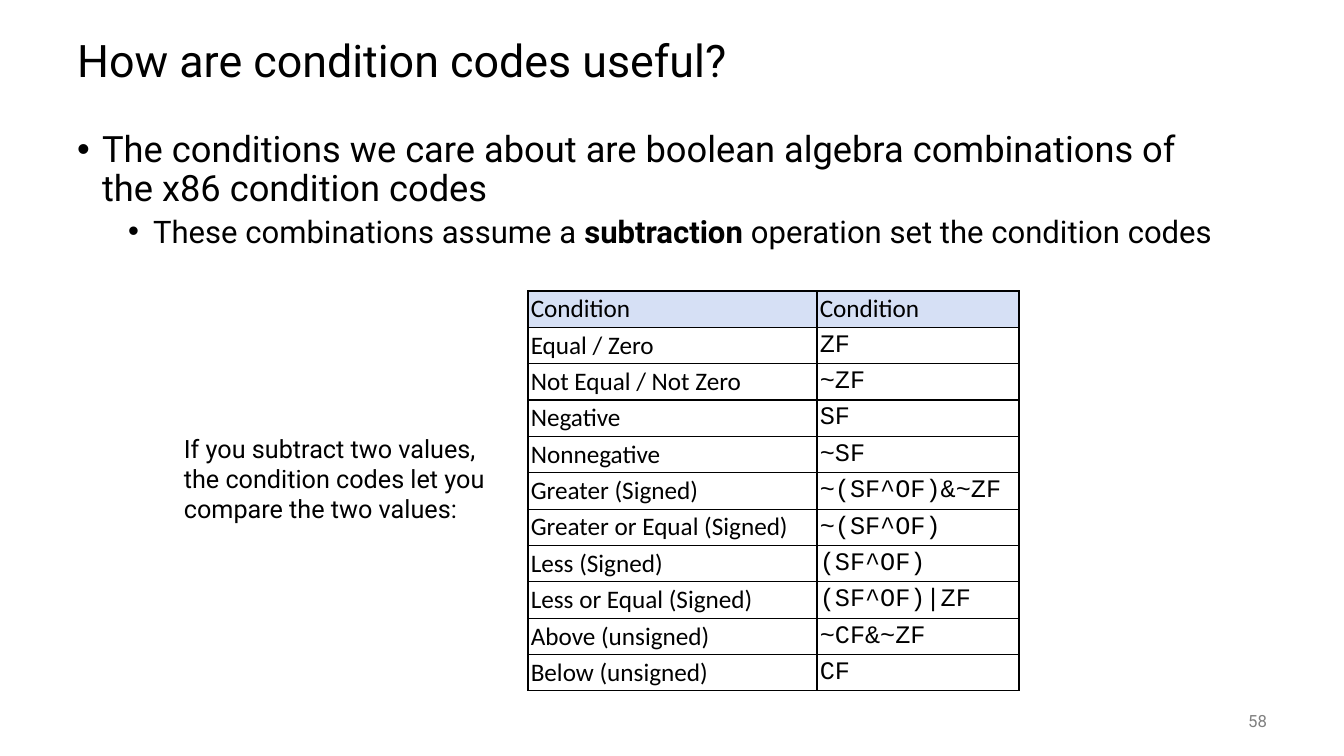
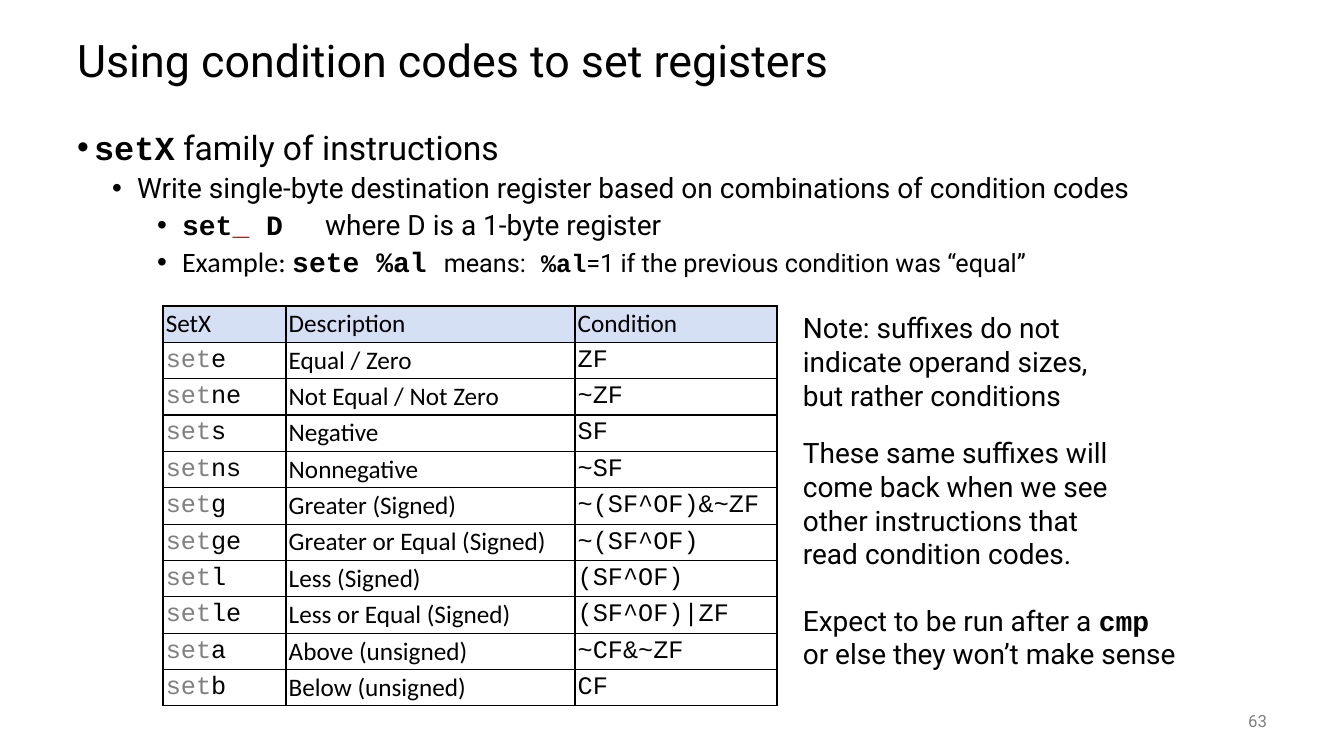
from lxml import etree
from pptx import Presentation
from pptx.dml.color import RGBColor
from pptx.enum.text import MSO_ANCHOR, MSO_AUTO_SIZE, PP_ALIGN
from pptx.oxml.ns import qn
from pptx.util import Emu, Pt

LEFT, RIGHT = PP_ALIGN.LEFT, PP_ALIGN.RIGHT
TOP, MIDDLE = MSO_ANCHOR.TOP, MSO_ANCHOR.MIDDLE
NO_FIT = MSO_AUTO_SIZE.NONE

BLACK = RGBColor(0x00, 0x00, 0x00)
GRAY = RGBColor(0x80, 0x80, 0x80)
RED = RGBColor(0xFF, 0x00, 0x00)
HEADER_FILL = RGBColor(0xD6, 0xE0, 0xF5)

PX = 914400 / 100.8
SLIDE_W, SLIDE_H = 1344, 756
TITLE_BOX = (67, 25, 1210, 76)
NUMBER_BOX = (1176, 701, 101, 40)
ROW_H = 36
SUFFIX_W, MEANING_W, FLAGS_W = 123, 289, 202

PLAIN = {"name": "Roboto", "bold": False, "color": BLACK}
CODE = {"name": "Courier New", "bold": True, "color": BLACK}
CELL = {"name": "Calibri", "size": 18, "bold": False, "color": BLACK}
CELL_CODE = CELL | {"name": "Courier New"}
CELL_PREFIX = CELL_CODE | {"color": GRAY}
TITLE = PLAIN | {"size": 32}
NUMBER = PLAIN | {"size": 12, "color": GRAY}
P18, P20, P24 = (PLAIN | {"size": n} for n in (18, 20, 24))
C18, C20, C24 = (CODE | {"size": n} for n in (18, 20, 24))

CONDITIONS = [
    ("e", "Equal / Zero", "ZF"),
    ("ne", "Not Equal / Not Zero", "~ZF"),
    ("s", "Negative", "SF"),
    ("ns", "Nonnegative", "~SF"),
    ("g", "Greater (Signed)", "~(SF^OF)&~ZF"),
    ("ge", "Greater or Equal (Signed)", "~(SF^OF)"),
    ("l", "Less (Signed)", "(SF^OF)"),
    ("le", "Less or Equal (Signed)", "(SF^OF)|ZF"),
    ("a", "Above (unsigned)", "~CF&~ZF"),
    ("b", "Below (unsigned)", "CF"),
]


def cells_for(suffix, meaning, flags):
    return [[("set", CELL_PREFIX), (suffix, CELL_CODE)],
            [(meaning, CELL)], [(flags, CELL_CODE)]]


def header(*labels):
    return [[(label, CELL)] for label in labels]


SET_ROWS = [cells_for(*c) for c in CONDITIONS]
P26 = PLAIN | {"size": 25.9}
P22 = PLAIN | {"size": 22.2}

SLIDES = [
    {
        "title": "How are condition codes useful?",
        "number": "58",
        "body_box": (67, 126, 1168, 131),
        "bullets": [
            {"level": 0, "indent": 25, "runs": [
                ("The conditions we care about are boolean algebra combinations of "
                 "the x86 condition codes", P26)]},
            {"level": 1, "indent": 76, "before": 5, "runs": [
                ("These combinations assume a ", P22),
                ("subtraction", P22 | {"bold": True}),
                (" operation set the condition codes", P22)]},
        ],
        "table_at": (528, 291),
        "widths": [MEANING_W, FLAGS_W],
        "rows": [header("Condition", "Condition")] + [row[1:] for row in SET_ROWS],
        "notes": [
            ((174, 428, 332, 102), [
                {"runs": [("If you subtract two values, the condition codes let you\n"
                           "compare the two values:", P18)]}]),
        ],
    },
    {
        "title": "Using condition codes to set registers",
        "number": "63",
        "body_box": (67, 126, 1210, 554),
        "bullets": [
            {"level": 0, "indent": 17, "runs": [
                ("setX", C24), (" family of instructions", P24)]},
            {"level": 1, "indent": 60, "before": 5, "runs": [
                ("Write single-byte destination register based on combinations "
                 "of condition codes", P20)]},
            {"level": 2, "indent": 105, "before": 5, "tab": 248, "runs": [
                ("set", C20), ("_", C20 | {"color": RED}), (" D", C20),
                ("\twhere D is a 1-byte register", P20)]},
            {"level": 2, "indent": 105, "before": 5, "runs": [
                ("Example: ", P20 | {"name": "Calibri"}), ("sete %al ", C20),
                ("means:", P18), (" %al", C18),
                ("=1 if the previous condition was “equal”", P18)]},
        ],
        "table_at": (163, 306),
        "widths": [SUFFIX_W, MEANING_W, FLAGS_W],
        "rows": [header("SetX", "Description", "Condition")] + SET_ROWS,
        "notes": [
            ((793, 306, 316, 112), [
                {"runs": [("Note: suffixes do not indicate operand sizes, "
                           "but rather conditions", P20)]}]),
            ((793, 431, 399, 248), [
                {"runs": [("These same suffixes will\ncome back when we see\n"
                           "other instructions that\nread condition codes.", P20)]},
                {"before": 23.4, "runs": [("Expect to be run after a ", P20),
                                          ("cmp", C20)]},
                {"runs": [("or else they won’t make sense", P20)]}]),
        ],
    },
]


def px(n):
    return Emu(round(n * PX))


def place(sp, box):
    for name, n in zip(("left", "top", "width", "height"), box):
        setattr(sp, name, px(n))


def add_runs(p, runs):
    for text, style in runs:
        for i, line in enumerate(text.split("\n")):
            if i:
                p.add_line_break()
            r = p.add_run()
            r.text = line
            for name, value in style.items():
                if name == "color":
                    r.font.color.rgb = value
                else:
                    setattr(r.font, name, Pt(value) if name == "size" else value)


def add_bullet(p, item):
    pPr = p._p.get_or_add_pPr()
    pPr.set("marL", str(px(item["indent"])))
    pPr.set("indent", str(px(-25)))
    etree.SubElement(pPr, qn("a:buChar"), char="•")
    if "tab" in item:
        tabs = etree.SubElement(pPr, qn("a:tabLst"))
        etree.SubElement(tabs, qn("a:tab"), pos=str(px(item["tab"])), algn="l")


def write(tf, items, anchor=TOP, align=LEFT, spacing=1.0):
    frame = {"word_wrap": True, "auto_size": NO_FIT, "vertical_anchor": anchor}
    for name, value in frame.items():
        setattr(tf, name, value)
    for i, item in enumerate(items):
        p = tf.add_paragraph() if i else tf.paragraphs[0]
        if "indent" in item:
            add_bullet(p, item)
            p.level = item["level"]
        p.alignment = align
        p.line_spacing = spacing
        p.space_before = Pt(item.get("before", 0))
        add_runs(p, item["runs"])


def add_text(s, box, items, **kw):
    sp = s.shapes.add_textbox(*map(px, box))
    write(sp.text_frame, items, **kw)


def add_borders(cell):
    tcPr = cell._tc.get_or_add_tcPr()
    for i, side in enumerate(("a:lnL", "a:lnR", "a:lnT", "a:lnB")):
        ln = etree.Element(qn(side), w=str(Pt(1)))
        fill = etree.SubElement(ln, qn("a:solidFill"))
        etree.SubElement(fill, qn("a:srgbClr"), val=str(BLACK))
        tcPr.insert(i, ln)


def add_grid(s, at, widths, rows):
    size = (sum(widths), ROW_H * len(rows))
    table = s.shapes.add_table(len(rows), len(widths), *map(px, at + size)).table
    table.first_row = table.horz_banding = False
    for column, width in zip(table.columns, widths):
        column.width = px(width)
    for i, row in enumerate(rows):
        table.rows[i].height = px(ROW_H)
        for j, runs in enumerate(row):
            cell = table.cell(i, j)
            for side in ("left", "right", "top", "bottom"):
                setattr(cell, "margin_" + side, Pt(2))
            cell.vertical_anchor = MIDDLE
            if i:
                cell.fill.background()
            else:
                cell.fill.solid()
                cell.fill.fore_color.rgb = HEADER_FILL
            add_borders(cell)
            add_runs(cell.text_frame.paragraphs[0], runs)


def build_slide(prs, data):
    s = prs.slides.add_slide(prs.slide_layouts[1])
    title, body = s.shapes.title, s.placeholders[1]
    place(title, TITLE_BOX)
    write(title.text_frame, [{"runs": [(data["title"], TITLE)]}], anchor=MIDDLE, spacing=0.9)
    place(body, data["body_box"])
    write(body.text_frame, data["bullets"], spacing=0.9)
    add_text(s, NUMBER_BOX, [{"runs": [(data["number"], NUMBER)]}], anchor=MIDDLE, align=RIGHT)
    add_grid(s, data["table_at"], data["widths"], data["rows"])
    for box, items in data["notes"]:
        add_text(s, box, items)


def main():
    prs = Presentation()
    prs.slide_width, prs.slide_height = px(SLIDE_W), px(SLIDE_H)
    for data in SLIDES:
        build_slide(prs, data)
    prs.save("out.pptx")


if __name__ == "__main__":
    main()
